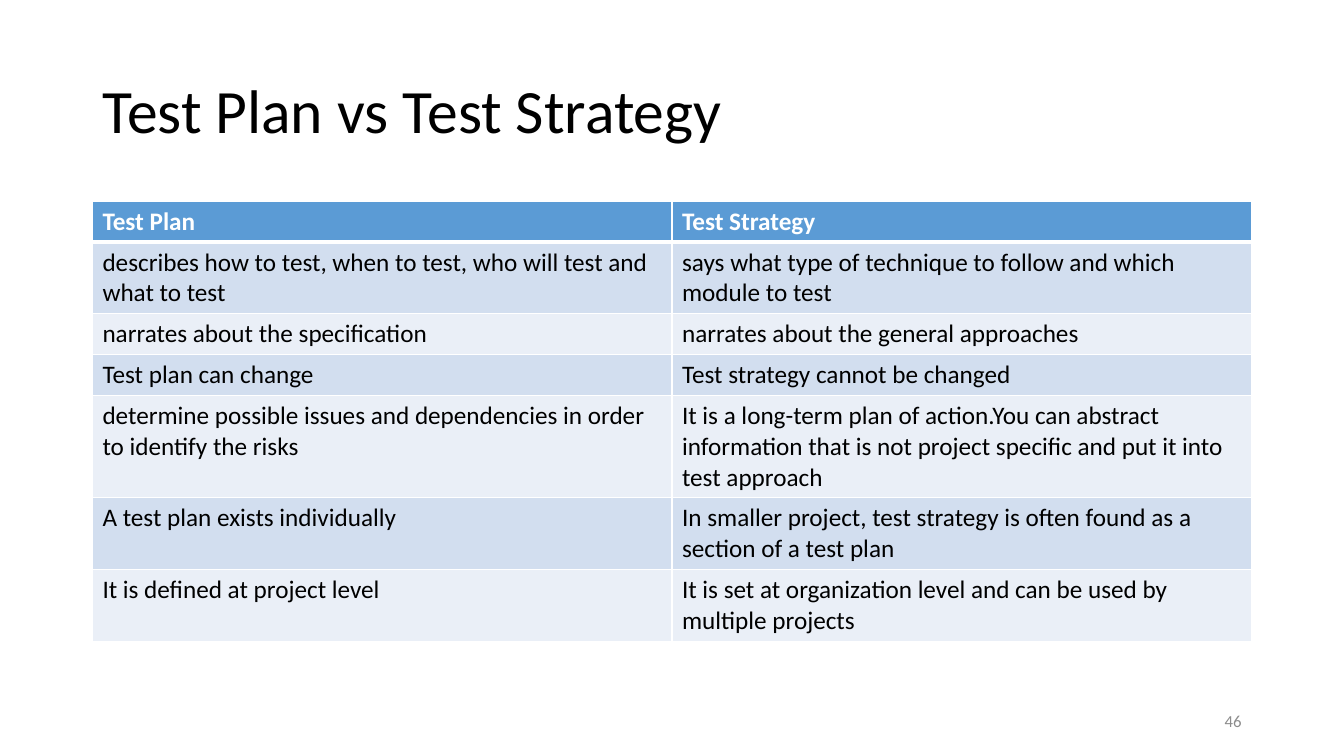
from lxml import etree
from pptx import Presentation
from pptx.dml.color import RGBColor
from pptx.enum.text import MSO_ANCHOR, PP_ALIGN
from pptx.oxml.ns import qn
from pptx.util import Cm, Pt

LEFT, RIGHT = PP_ALIGN.LEFT, PP_ALIGN.RIGHT
TOP, MIDDLE = MSO_ANCHOR.TOP, MSO_ANCHOR.MIDDLE
TITLE_ONLY = 5
FONT = "Calibri"
COLORS = {
    "text": "000000",
    "header_text": "FFFFFF",
    "header": "5B9BD5",
    "odd_row": "D2DEEF",
    "even_row": "EAEFF7",
    "border": "FFFFFF",
    "page_number": "8C8C8C",
}
COMPARISON = [
    ("Test Plan", "Test Strategy"),
    ("describes how to test, when to test, who will test and what to test",
     "says what type of technique to follow and which module to test"),
    ("narrates about the specification", "narrates about the general approaches"),
    ("Test plan can change", "Test strategy cannot be changed"),
    ("determine possible issues and dependencies in order to identify the risks",
     "It is a long-term plan of action.You can abstract information that is not "
     "project specific and put it into test approach"),
    ("A test plan exists individually",
     "In smaller project, test strategy is often found as a section of a test plan"),
    ("It is defined at project level",
     "It is set at organization level and can be used by multiple projects"),
]


def rgb(name):
    return RGBColor.from_string(COLORS[name])


def write(frame, text, size=18, color="text", bold=False, align=LEFT,
          anchor=TOP, line_spacing=None):
    frame.word_wrap = True
    frame.vertical_anchor = anchor
    paragraph = frame.paragraphs[0]
    paragraph.alignment = align
    paragraph.line_spacing = line_spacing
    run = paragraph.add_run()
    run.text = text
    run.font.name = FONT
    run.font.size = Pt(size)
    run.font.bold = bold
    run.font.color.rgb = rgb(color)


def set_borders(cell, bottom_width):
    """Draw the four cell edges; the bottom one has its own width in points."""
    properties = cell._tc.get_or_add_tcPr()
    widths = {"a:lnL": 1, "a:lnR": 1, "a:lnT": 1, "a:lnB": bottom_width}
    for position, (edge, width) in enumerate(widths.items()):
        line = etree.Element(qn(edge), w=str(Pt(width)))
        fill = etree.SubElement(line, qn("a:solidFill"))
        etree.SubElement(fill, qn("a:srgbClr"), val=COLORS["border"])
        properties.insert(position, line)


def add_title(slide, text, left, top, width, height):
    title = slide.shapes.title
    title.left, title.top, title.width, title.height = left, top, width, height
    write(title.text_frame, text, size=44, anchor=MIDDLE, line_spacing=0.9)


def add_comparison(slide, rows, left, top, width, row_height):
    column_count = len(rows[0])
    table = slide.shapes.add_table(len(rows), column_count, left, top, width,
                                   row_height * len(rows)).table
    for row_index, row in enumerate(rows):
        is_header = row_index == 0
        band = "header" if is_header else "odd_row" if row_index % 2 else "even_row"
        for column_index, text in enumerate(row):
            cell = table.cell(row_index, column_index)
            cell.fill.solid()
            cell.fill.fore_color.rgb = rgb(band)
            # The heavy header edge is shared with the row below it.
            set_borders(cell, bottom_width=3 if is_header else 1)
            if row_index == 1:
                cell._tc.tcPr.find(qn("a:lnT")).set("w", str(Pt(3)))
            write(cell.text_frame, text, bold=is_header,
                  color="header_text" if is_header else "text")


def add_page_number(slide, number, left, top, width, height):
    box = slide.shapes.add_textbox(left, top, width, height)
    write(box.text_frame, number, size=12, color="page_number", align=RIGHT,
          anchor=MIDDLE)


def main():
    presentation = Presentation()
    presentation.slide_width = Cm(33.87)
    presentation.slide_height = Cm(19.05)
    slide = presentation.slides.add_slide(presentation.slide_layouts[TITLE_ONLY])

    margin = Cm(2.33)
    content_width = presentation.slide_width - 2 * margin
    number_width = Cm(7.62)
    number_left = presentation.slide_width - margin - number_width

    add_title(slide, "Test Plan vs Test Strategy", margin, Cm(1.01),
              content_width, Cm(3.68))
    add_comparison(slide, COMPARISON, margin, Cm(5.07), content_width, Cm(1.03))
    add_page_number(slide, "46", number_left, Cm(17.66), number_width, Cm(1.01))
    presentation.save("out.pptx")


if __name__ == "__main__":
    main()
